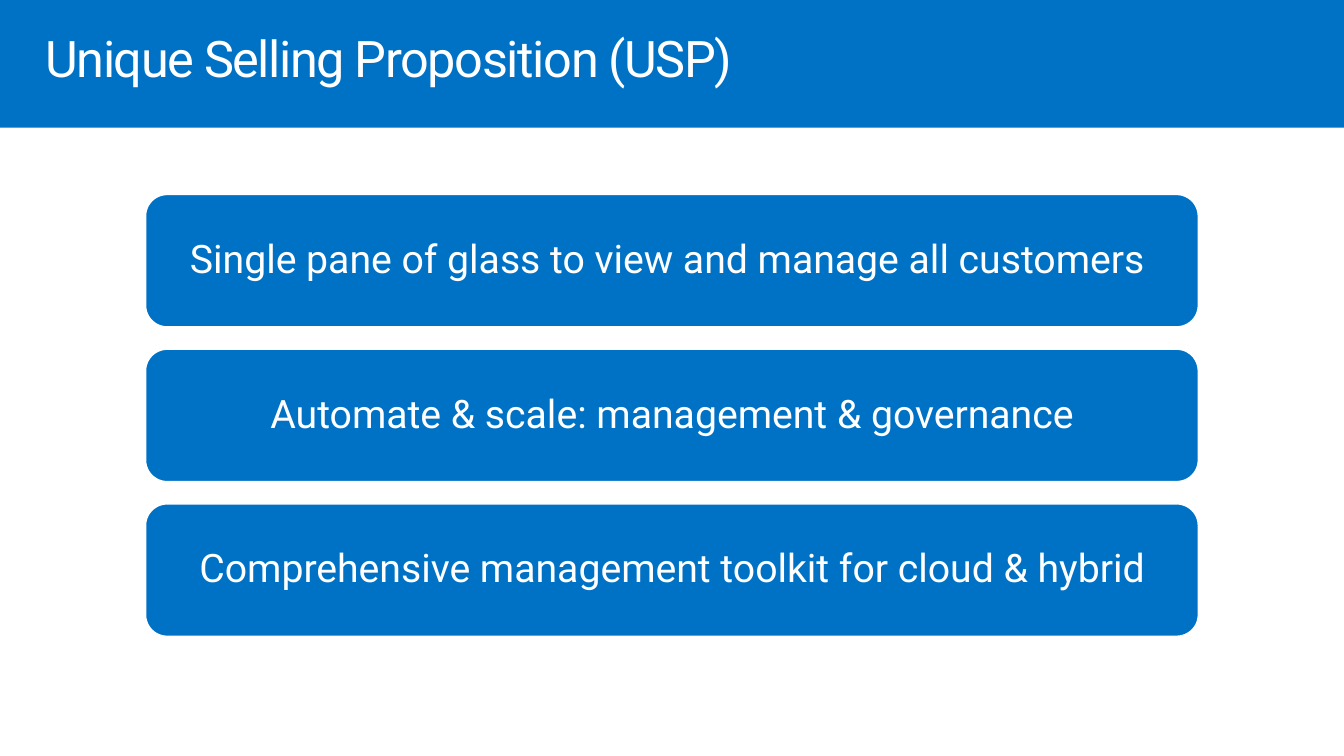
from pptx import Presentation
from pptx.dml.color import RGBColor
from pptx.enum import shapes, text
from pptx.util import Pt

BLUE = RGBColor(0x00, 0x72, 0xC6)
WHITE = RGBColor(0xFF, 0xFF, 0xFF)
FONT = "Roboto"

POINTS = [
    "Single pane of glass to view and manage all customers ",
    "Automate & scale: management & governance",
    "Comprehensive management toolkit for cloud & hybrid",
]
LEFT, TOP, WIDE, HIGH, STEP = 103.5, 138.4, 753, 95.6, 110.5


def apply(item, props):
    for name, value in props.items():
        setattr(item, name, value)


def write(shape, words, size, align, inset, anchor):
    frame = shape.text_frame
    apply(frame, {
        "word_wrap": True,
        "auto_size": text.MSO_AUTO_SIZE.NONE,
        "vertical_anchor": anchor,
        "margin_left": Pt(inset),
        "margin_right": Pt(inset),
        "margin_top": Pt(inset),
        "margin_bottom": Pt(inset),
    })
    para = frame.paragraphs[0]
    apply(para, {"alignment": align, "line_spacing": 0.9, "space_before": Pt(0)})
    run = para.add_run()
    run.text = words
    apply(run.font, {"name": FONT, "size": Pt(size), "bold": False})
    run.font.color.rgb = WHITE
    return run


def block(slide, kind, left, top, wide, high):
    shape = slide.shapes.add_shape(kind, Pt(left), Pt(top), Pt(wide), Pt(high))
    shape.shadow.inherit = False
    shape.fill.solid()
    shape.fill.fore_color.rgb = BLUE
    shape.line.fill.background()
    return shape


def head(slide, words):
    title = slide.shapes.title
    apply(title, {"left": Pt(32.4), "top": Pt(24.5),
                  "width": Pt(878.4), "height": Pt(39.6)})
    run = write(title, words, 36, text.PP_ALIGN.LEFT, 0, text.MSO_ANCHOR.TOP)
    # Tighten the letters by one point
    run.font._element.set("spc", "-100")
    # Bring the title in front of the band
    slide.shapes._spTree.append(title._element)


def card(slide, top, words):
    shape = block(slide, shapes.MSO_SHAPE.ROUNDED_RECTANGLE, LEFT, top, WIDE, HIGH)
    shape.line.color.rgb = WHITE
    shape.line.width = Pt(2)
    write(shape, words, 28, text.PP_ALIGN.CENTER, 8.4, text.MSO_ANCHOR.MIDDLE)


def main():
    deck = Presentation()
    apply(deck, {"slide_width": Pt(960), "slide_height": Pt(540)})
    slide = deck.slides.add_slide(deck.slide_layouts[5])

    # Title band
    block(slide, shapes.MSO_SHAPE.RECTANGLE, 0, 0, 960, 91.2)
    head(slide, "Unique Selling Proposition (USP)")

    # Selling points
    for i, words in enumerate(POINTS):
        card(slide, TOP + i * STEP, words)

    deck.save("out.pptx")


if __name__ == "__main__":
    main()
